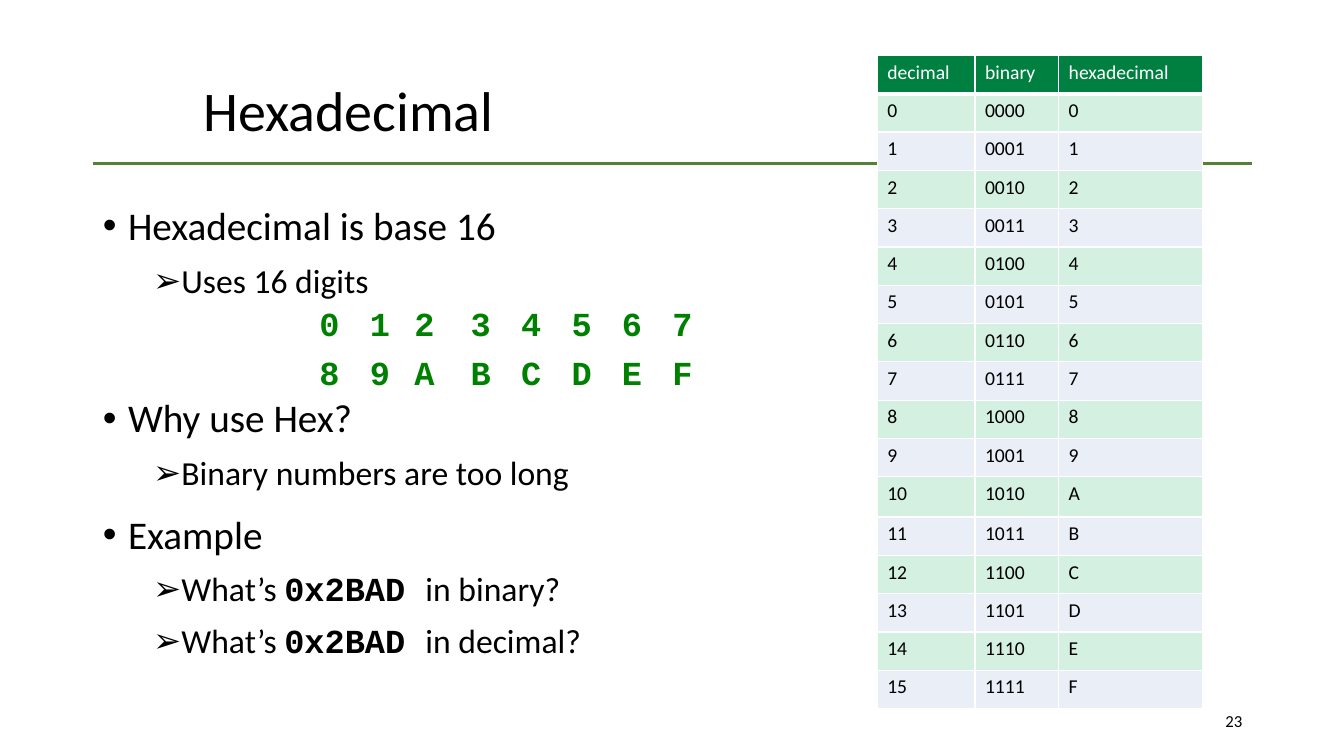
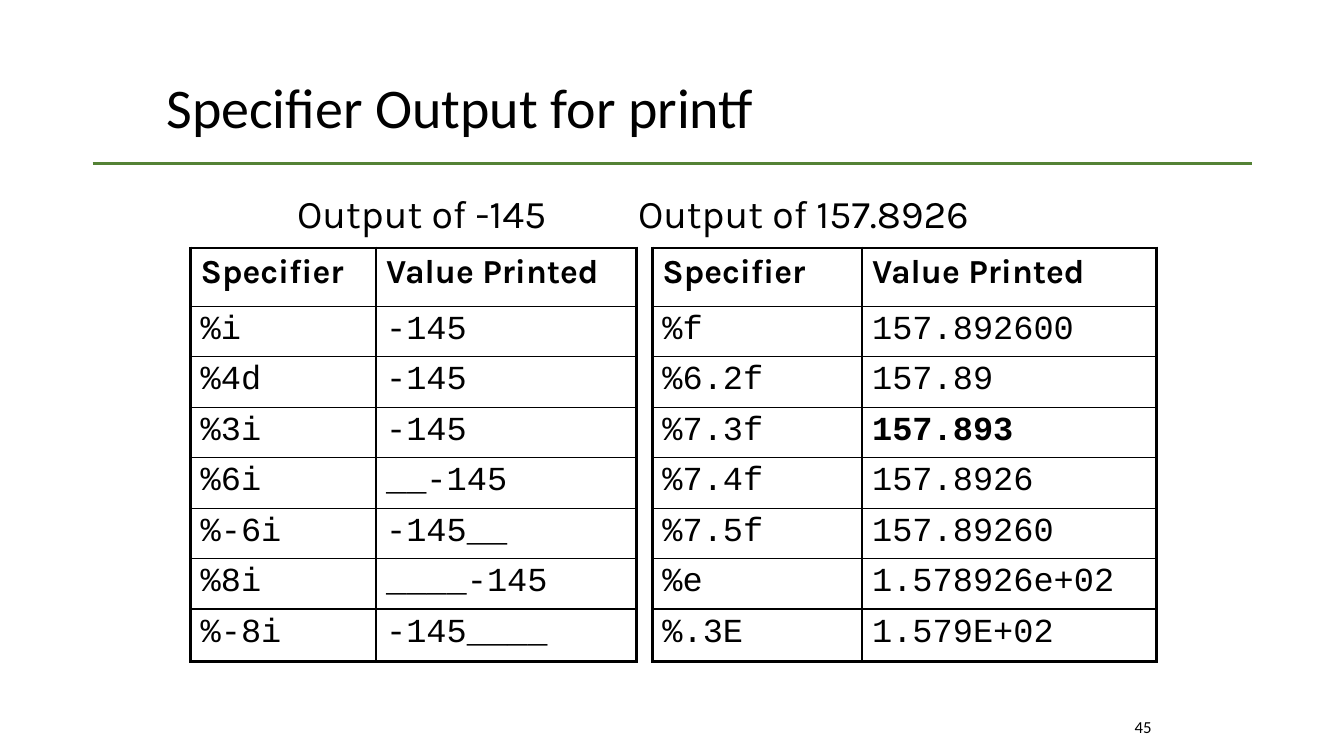
from lxml import etree
from pptx import Presentation
from pptx.dml.color import RGBColor
from pptx.enum.shapes import MSO_CONNECTOR
from pptx.enum.text import MSO_ANCHOR, MSO_AUTO_SIZE, PP_ALIGN
from pptx.oxml.ns import qn
from pptx.util import Inches, Pt

COLORS = {
    "text": "000000", "white": "FFFFFF", "rule": "548235", "digits": "008000",
    "header": "008040", "band_a": "D4F0E1", "band_b": "EAEFF7",
}
SANS, MONO, KARLA = "Calibri", "Courier New", "Karla"
TITLE_ONLY, TITLE_BODY = 5, 1

# Bulleted list levels: size, left indent, space before, bullet character
LEVELS = [(28, 0.25, 10, "•"), (24, 0.75, 5, "➢")]
DIGIT_TABS = [0.5, 0.94, 1.5, 2, 2.5, 3, 3.5]


def rgb(name):
    return RGBColor.from_string(COLORS[name])


def add_run(p, text, size, font=SANS, color="text", bold=False):
    r = p.add_run()
    r.text = text
    for name, value in {"size": Pt(size), "name": font, "bold": bold}.items():
        setattr(r.font, name, value)
    r.font.color.rgb = rgb(color)


def format_paragraph(p, **values):
    for name, value in values.items():
        setattr(p, name, value)


def set_indent(p, left, first=0):
    pPr = p._p.get_or_add_pPr()
    pPr.set("marL", str(Inches(left)))
    pPr.set("indent", str(Inches(first)))
    return pPr


def set_tabs(p, stops):
    tabs = etree.SubElement(p._p.get_or_add_pPr(), qn("a:tabLst"))
    for stop in stops:
        etree.SubElement(tabs, qn("a:tab"), pos=str(Inches(stop)), algn="l")


def place(sp, box):
    sp.left, sp.top, sp.width, sp.height = map(Inches, box)


def add_text_box(s, box, anchor=MSO_ANCHOR.TOP):
    tf = s.shapes.add_textbox(*map(Inches, box)).text_frame
    tf.word_wrap = True
    tf.vertical_anchor = anchor
    return tf


def add_master_rule(prs, s):
    """Draw the green rule under the titles and hand it to the master."""
    line = s.shapes.add_connector(
        MSO_CONNECTOR.STRAIGHT, *map(Inches, (0.92, 1.62, 12.42, 1.62)))
    line.line.color.rgb = rgb("rule")
    line.line.width = Pt(2)
    etree.SubElement(line.element.spPr, qn("a:effectLst"))
    prs.slide_master.shapes.element.append(line.element)


def add_slide(prs, layout, title, title_box, number, number_box, indent=0):
    s = prs.slides.add_slide(prs.slide_layouts[layout])
    place(s.shapes.title, title_box)
    tf = s.shapes.title.text_frame
    tf.auto_size = MSO_AUTO_SIZE.NONE
    tf.vertical_anchor = MSO_ANCHOR.MIDDLE
    p = tf.paragraphs[0]
    format_paragraph(p, alignment=PP_ALIGN.LEFT, line_spacing=0.9)
    set_indent(p, indent)
    add_run(p, title, 40)

    p = add_text_box(s, number_box, MSO_ANCHOR.MIDDLE).paragraphs[0]
    p.alignment = PP_ALIGN.RIGHT
    add_run(p, number, 12)
    return s


def fill_list(body, box, items):
    """Items are (level, runs, extra space before); code runs start with 0x."""
    place(body, box)
    tf = body.text_frame
    tf.auto_size = MSO_AUTO_SIZE.NONE
    for i, (level, runs, extra) in enumerate(items):
        size, left, before, bullet = LEVELS[level]
        p = tf.add_paragraph() if i else tf.paragraphs[0]
        format_paragraph(p, level=level, alignment=PP_ALIGN.JUSTIFY,
                         line_spacing=0.9, space_before=Pt(before + extra),
                         space_after=Pt(6))
        pPr = set_indent(p, left, -0.25)
        etree.SubElement(pPr, qn("a:buFont"), typeface="Arial")
        etree.SubElement(pPr, qn("a:buChar"), char=bullet)
        for text in runs:
            code = text.startswith("0x")
            add_run(p, text, size, MONO if code else SANS, bold=code)


def set_borders(cell, color, widths):
    """Widths are points for left, right, top and bottom."""
    tcPr = cell._tc.get_or_add_tcPr()
    for i, (side, width) in enumerate(zip("LRTB", widths)):
        ln = etree.Element(qn(f"a:ln{side}"), w=str(Pt(width)))
        fill = etree.SubElement(ln, qn("a:solidFill"))
        etree.SubElement(fill, qn("a:srgbClr"), val=COLORS[color])
        tcPr.insert(i, ln)


def add_table(s, left, top, widths, heights, rows, style_cell):
    """Add a plain table; style_cell(cell, row, column, text) fills each cell."""
    box = left, top, sum(widths), sum(heights)
    table = s.shapes.add_table(
        len(rows), len(widths), *map(Inches, box)).table
    table.first_row = table.horz_banding = False
    for column, width in zip(table.columns, widths):
        column.width = Inches(width)
    for row, height in zip(table.rows, heights):
        row.height = Inches(height)
    for i, row in enumerate(rows):
        for j, text in enumerate(row):
            style_cell(table.cell(i, j), i, j, text)


def add_number_table(s, left, top):
    rows = [("decimal", "binary", "hexadecimal")]
    rows += [(str(n), f"{n:04b}", f"{n:X}") for n in range(16)]
    heights = [0.4 if row[0] == "10" else 0.38 for row in rows]

    def style_cell(cell, i, j, text):
        cell.fill.solid()
        band = "band_a" if i % 2 else "band_b"
        cell.fill.fore_color.rgb = rgb(band if i else "header")
        top_width, bottom_width = (3 if i == 1 else 1), (1 if i else 3)
        set_borders(cell, "white", (1, 1, top_width, bottom_width))
        add_run(cell.text_frame.paragraphs[0], text, 14,
                color="text" if i else "white")

    add_table(s, left, top, (0.97, 0.83, 1.43), heights, rows, style_cell)


def add_specifier_table(s, left, top, widths, outputs, strong=None):
    rows = [("Specifier", "Value Printed")] + outputs
    last = len(rows) - 1
    heights = [0.58] + [0.5] * (last - 1) + [0.52]

    def style_cell(cell, i, j, text):
        cell.fill.background()
        outer = (j == 0, j == 1, i == 0, i == last)
        set_borders(cell, "text", [2.25 if edge else 1 for edge in outer])
        add_run(cell.text_frame.paragraphs[0], text, 24,
                MONO if i else KARLA, bold=i == 0 or text == strong)

    add_table(s, left, top, widths, heights, rows, style_cell)


def add_hex_digits(s, box):
    tf = add_text_box(s, box)
    for i, digits in enumerate(("01234567", "89ABCDEF")):
        p = tf.add_paragraph() if i else tf.paragraphs[0]
        p.space_after = Pt(6)
        set_tabs(p, DIGIT_TABS)
        add_run(p, "\t".join(digits), 24, MONO, "digits", True)


def build_hexadecimal(prs):
    s = add_slide(prs, TITLE_BODY, "Hexadecimal", (0.92, 0.4, 11.5, 1.45),
                  "23", (9.42, 6.95, 3, 0.4), indent=1)
    add_master_rule(prs, s)
    fill_list(s.placeholders[1], (0.92, 2, 11.5, 4.76), [
        (0, ["Hexadecimal is base 16"], 0),
        (1, ["Uses 16 digits"], 0),
        (0, ["Why use Hex?"], 54),
        (1, ["Binary numbers are too long"], 0),
        (0, ["Example"], 0),
        (1, ["What’s ", "0x2BAD ", "in binary?"], 0),
        (1, ["What’s ", "0x2BAD ", "in decimal?"], 0),
    ])
    add_hex_digits(s, (3.07, 2.96, 4.18, 0.99))
    add_number_table(s, 8.7, 0.55)


def build_specifiers(prs):
    s = add_slide(prs, TITLE_ONLY, "Specifier Output for printf",
                  (1.55, 0.47, 8.27, 1.25), "45", (11.12, 7.01, 0.4, 0.4))
    p = add_text_box(s, (2.85, 1.83, 8.46, 0.6)).paragraphs[0]
    set_tabs(p, [3.38])
    add_run(p, "Output of -145\tOutput of 157.8926", 28, KARLA)
    add_specifier_table(s, 1.89, 2.46, (1.84, 2.58), [
        ("%i", "-145"), ("%4d", "-145"), ("%3i", "-145"), ("%6i", "__-145"),
        ("%-6i", "-145__"), ("%8i", "____-145"), ("%-8i", "-145____"),
    ])
    add_specifier_table(s, 6.47, 2.46, (2.08, 2.92), [
        ("%f", "157.892600"), ("%6.2f", "157.89"), ("%7.3f", "157.893"),
        ("%7.4f", "157.8926"), ("%7.5f", "157.89260"),
        ("%e", "1.578926e+02"), ("%.3E", "1.579E+02"),
    ], strong="157.893")


def main():
    prs = Presentation()
    prs.slide_width, prs.slide_height = Inches(13.33), Inches(7.5)
    build_hexadecimal(prs)
    build_specifiers(prs)
    prs.save("out.pptx")


if __name__ == "__main__":
    main()
